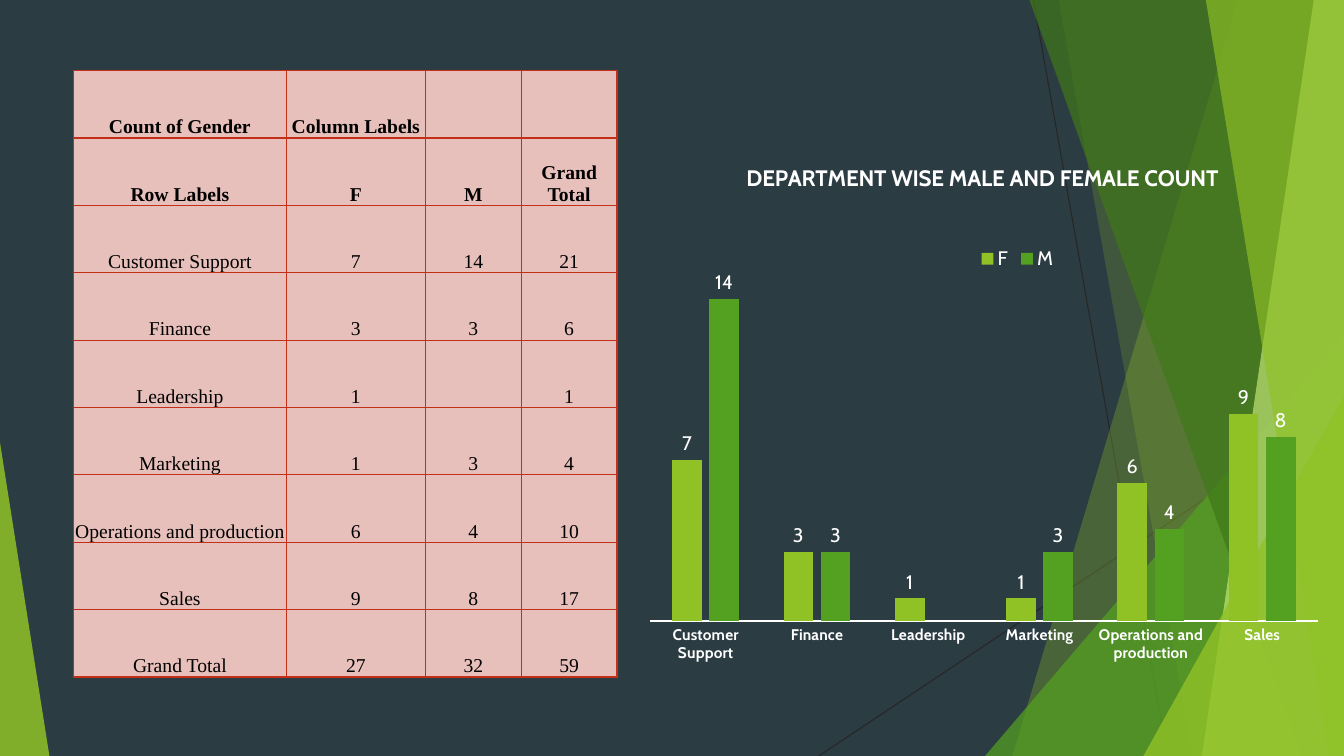
from lxml.etree import SubElement
from pptx import Presentation
from pptx.chart.data import CategoryChartData
from pptx.dml.color import RGBColor
from pptx.enum.chart import XL_CHART_TYPE, XL_LABEL_POSITION, XL_LEGEND_POSITION, XL_TICK_MARK
from pptx.enum.shapes import MSO_CONNECTOR
from pptx.enum.text import MSO_ANCHOR, PP_ALIGN
from pptx.oxml import parse_xml
from pptx.oxml.ns import nsdecls, qn
from pptx.util import Inches, Pt

WIDTH, HEIGHT = 13.33, 7.5
NIGHT, INK, WHITE, BLACK = "2C3C43", "262626", "FFFFFF", "000000"
LIME, GREEN, FOREST, PALE = "90C226", "54A021", "3F7819", "C0E474"
ROSE, BRICK = "E7BFBB", "C42F1A"

DEPARTMENTS = {
    "Customer Support": (7, 14),
    "Finance": (3, 3),
    "Leadership": (1, None),
    "Marketing": (1, 3),
    "Operations and production": (6, 4),
    "Sales": (9, 8),
}


def colour(hex_code):
    return RGBColor.from_string(hex_code)


def add_facet(slide, points, fill, opacity):
    """Draw a translucent polygon; opacity is in percent."""
    builder = slide.shapes.build_freeform(
        *(Inches(v) for v in points[0]), scale=1.0)
    builder.add_line_segments([(Inches(x), Inches(y)) for x, y in points[1:]])
    facet = builder.convert_to_shape()
    facet.shadow.inherit = False
    facet.line.fill.background()
    facet.fill.solid()
    facet.fill.fore_color.rgb = colour(fill)
    srgb = facet.fill._xPr.find(qn("a:solidFill"))[0]
    SubElement(srgb, qn("a:alpha"), val=str(opacity * 1000))


def add_ray(slide, start, end):
    ray = slide.shapes.add_connector(
        MSO_CONNECTOR.STRAIGHT, *(Inches(v) for v in start + end))
    ray.line.color.rgb = colour(INK)
    ray.line.width = Pt(0.75)
    SubElement(ray._element.spPr, qn("a:effectLst"))


def add_backdrop(slide, width, height):
    slide.background.fill.solid()
    slide.background.fill.fore_color.rgb = colour(NIGHT)
    add_ray(slide, (10.25, 0), (11.58, height))
    add_ray(slide, (width, 4.03), (8.12, height))

    def band(top_x, bottom_x):
        """Area between a slanted edge and the right side of the slide."""
        return [(top_x, 0), (width, 0), (width, height), (bottom_x, height)]

    def corner(left, top):
        return [(width, top), (width, height), (left, height)]

    facets = [
        (band(12.28, 10.04), LIME, 30),
        (band(10.5, 11.83), LIME, 20),
        (corner(9.77, 3.33), GREEN, 72),
        (band(10.21, 12.91), FOREST, 70),
        (band(13.03, 11.92), PALE, 70),
        (band(11.96, 13.18), LIME, 65),
        (corner(11.34, 3.93), LIME, 80),
        ([(0, 4.39), (0.49, height), (0, height)], LIME, 85),
    ]
    for points, fill, opacity in facets:
        add_facet(slide, points, fill, opacity)


def count_rows():
    """Rows of the gender table, with totals worked out."""
    rows = [["Count of Gender", "Column Labels", "", ""],
            ["Row Labels", "F", "M", "Grand Total"]]
    for department, counts in DEPARTMENTS.items():
        rows.append([department, *counts, sum(n or 0 for n in counts)])
    totals = [sum(n or 0 for n in column)
              for column in zip(*DEPARTMENTS.values())]
    rows.append(["Grand Total", *totals, sum(totals)])
    return rows


def style_cell(cell, bold):
    cell.fill.solid()
    cell.fill.fore_color.rgb = colour(ROSE)
    cell.vertical_anchor = MSO_ANCHOR.BOTTOM
    cell.margin_left = cell.margin_right = 0
    cell.margin_top = cell.margin_bottom = 0
    label = cell.text_frame.paragraphs[0]
    label.alignment = PP_ALIGN.CENTER
    label.font.name = "Times New Roman"
    label.font.size = Pt(14)
    label.font.bold = bold
    label.font.color.rgb = colour(BLACK)
    properties = cell._tc.get_or_add_tcPr()
    for index, side in enumerate(("lnL", "lnR", "lnT", "lnB")):
        properties.insert(index, parse_xml(
            f'<a:{side} {nsdecls("a")} w="12700"><a:solidFill>'
            f'<a:srgbClr val="{BRICK}"/></a:solidFill></a:{side}>'))


def add_gender_table(slide, left, top, width, height):
    rows = count_rows()
    table = slide.shapes.add_table(
        len(rows), 4, Inches(left), Inches(top), Inches(width), Inches(height)).table
    table.horz_banding = False
    shares = (2.11, 1.38, 0.95, 0.95)
    for column, share in zip(table.columns, shares):
        column.width = Inches(width * share / sum(shares))
    for r, values in enumerate(rows):
        for c, value in enumerate(values):
            cell = table.cell(r, c)
            cell.text = "" if value is None else str(value)
            style_cell(cell, bold=r < 2)


def place(element, before, x, y, w=None, h=None, inner=False):
    """Give a chart part a manual layout, in fractions of the chart."""
    for old in element.findall(qn("c:layout")):
        element.remove(old)
    tags = '<c:layoutTarget val="inner"/>' if inner else ""
    tags += '<c:xMode val="edge"/><c:yMode val="edge"/>'
    for tag, value in zip("xywh", (x, y, w, h)):
        if value is not None:
            tags += f'<c:{tag} val="{value}"/>'
    layout = parse_xml(f'<c:layout {nsdecls("c")}><c:manualLayout>{tags}'
                       '</c:manualLayout></c:layout>')
    element.insert(before, layout)


def add_department_chart(slide, left, top, width, height):
    data = CategoryChartData()
    data.categories = list(DEPARTMENTS)
    for gender, counts in zip("FM", zip(*DEPARTMENTS.values())):
        data.add_series(gender, counts)
    chart = slide.shapes.add_chart(
        XL_CHART_TYPE.COLUMN_CLUSTERED, Inches(left), Inches(top),
        Inches(width), Inches(height), data).chart
    chart.font.name = "Cabin"
    chart.font.size = Pt(14)
    chart.font.color.rgb = colour(WHITE)

    chart.has_title = True
    heading = chart.chart_title.text_frame
    heading.text = "DEPARTMENT WISE MALE AND FEMALE COUNT"
    heading_font = heading.paragraphs[0].font
    heading_font.name = "Cabin"
    heading_font.size = Pt(16)
    heading_font.bold = True
    heading_font.color.rgb = colour(WHITE)
    place(chart.chart_title._element, 1, 0.145, 0.045)

    chart.has_legend = True
    chart.legend.position = XL_LEGEND_POSITION.TOP
    chart.legend.include_in_layout = False
    place(chart.legend._element, 1, 0.476, 0.197)

    departments = chart.category_axis
    departments.major_tick_mark = XL_TICK_MARK.NONE
    departments.tick_labels.font.size = Pt(11)
    departments.tick_labels.font.bold = True
    departments.format.line.color.rgb = colour(WHITE)
    departments.format.line.width = Pt(1.5)
    chart.value_axis.visible = False
    chart.value_axis.has_major_gridlines = False
    chart.value_axis.minimum_scale = 0
    chart.value_axis.maximum_scale = 16

    plot = chart.plots[0]
    plot.gap_width = 150
    plot.overlap = -25
    plot.vary_by_categories = False
    for series, fill in zip(plot.series, (LIME, GREEN)):
        series.format.fill.solid()
        series.format.fill.fore_color.rgb = colour(fill)
        series.data_labels.show_value = True
        series.data_labels.position = XL_LABEL_POSITION.OUTSIDE_END
    place(chart._chartSpace.chart.plotArea, 0, 0.014, 0.215, 0.949, 0.669, inner=True)


def main():
    prs = Presentation()
    prs.slide_width, prs.slide_height = Inches(WIDTH), Inches(HEIGHT)
    slide = prs.slides.add_slide(prs.slide_layouts[6])
    add_backdrop(slide, WIDTH, HEIGHT)
    add_gender_table(slide, 0.73, 0.7, 5.39, 6.02)
    add_department_chart(slide, 6.35, 1.33, 6.98, 5.47)
    prs.save("out.pptx")


if __name__ == "__main__":
    main()
